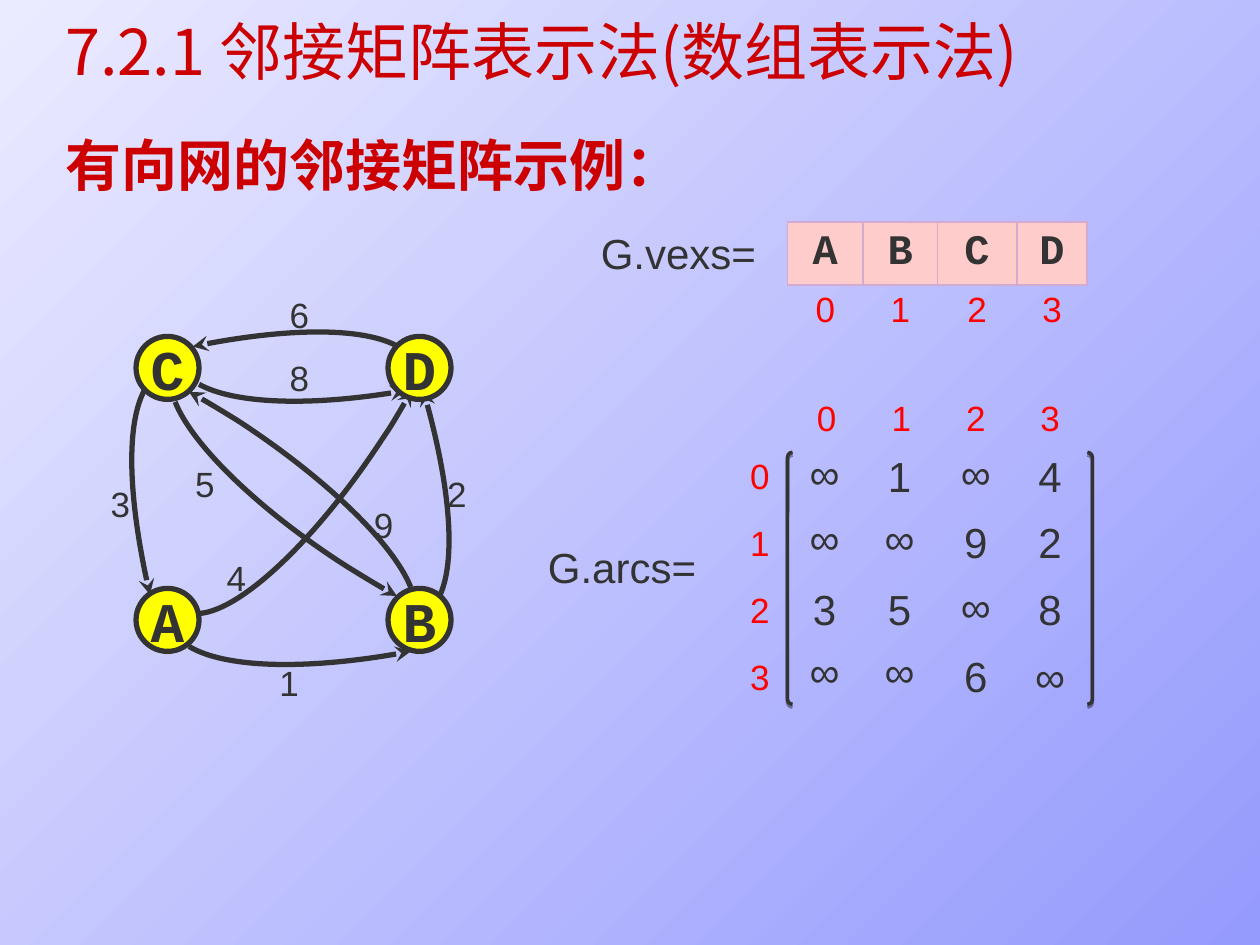
import pptx
import pptx.util
import pptx.dml.color
import pptx.enum.shapes
import pptx.enum.text
import pptx.oxml
import pptx.oxml.ns
import lxml.etree

Inches, Pt = pptx.util.Inches, pptx.util.Pt
ALIGN = pptx.enum.text.PP_ALIGN
ANCHOR = pptx.enum.text.MSO_ANCHOR
FIT = pptx.enum.text.MSO_AUTO_SIZE
SHAPE = pptx.enum.shapes.MSO_SHAPE
qn = pptx.oxml.ns.qn
NS = pptx.oxml.ns.nsdecls("a")

COLORS = {"text": "333333", "title": "CC0000", "index": "FF0000", "cell": "FFCCCC",
          "grid": "D2AAD2", "node": "FFFF00", "light": "EBEBFF", "deep": "959AFD"}
CJK = "Noto Sans CJK JP"
FORMATS = {
    "title": {"size": Pt(36), "name": CJK, "color": "title", "bold": False},
    "heading": {"size": Pt(32), "name": "Arial", "color": "title", "bold": True},
    "body": {"size": Pt(24), "name": "Arial", "color": "text", "bold": False},
    "weight": {"size": Pt(20), "name": "Arial", "color": "text", "bold": False},
    "index": {"size": Pt(20), "name": "Arial", "color": "index", "bold": False},
    "vertex": {"size": Pt(24), "name": "Courier New", "color": "text", "bold": True},
    "node": {"size": Pt(32), "name": "Courier New", "color": "text", "bold": True},
}


def rgb(key):
    return pptx.dml.color.RGBColor.from_string(COLORS[key])


class Deck:
    def __init__(self):
        self.prs = pptx.Presentation()
        self.prs.slide_width, self.prs.slide_height = Inches(10), Inches(7.5)
        self.s = self.prs.slides.add_slide(self.prs.slide_layouts[5])
        fill = self.s.background.fill
        fill.gradient()
        fill.gradient_angle = 315
        for stop, key in zip(fill.gradient_stops, ("light", "deep")):
            stop.color.rgb = rgb(key)

    def add_run(self, tf, text, style, align=ALIGN.LEFT, before=0):
        p = tf.paragraphs[0]
        p.alignment, p.space_before = align, Pt(before)
        r = p.add_run()
        r.text = text
        for name, value in FORMATS[style].items():
            if name == "color":
                r.font.color.rgb = rgb(value)
            else:
                setattr(r.font, name, value)
        if style in ("title", "heading"):
            lxml.etree.SubElement(r.font._element, qn("a:ea")).set("typeface", CJK)

    def title(self, text, x, y, w, h):
        sp = self.s.shapes.title
        sp.left, sp.top, sp.width, sp.height = map(Inches, (x, y, w, h))
        tf = sp.text_frame
        tf.auto_size, tf.vertical_anchor = FIT.NONE, ANCHOR.BOTTOM
        self.add_run(tf, text, "title")

    def text(self, text, style, x, y, w, h, before, align=ALIGN.LEFT, inset=True):
        tf = self.s.shapes.add_textbox(*map(Inches, (x, y, w, h))).text_frame
        tf.word_wrap, tf.auto_size = True, FIT.SHAPE_TO_FIT_TEXT
        if not inset:
            for side in ("left", "top", "right", "bottom"):
                setattr(tf, "margin_" + side, 0)
        self.add_run(tf, text, style, align, before)

    def outline(self, sp, width):
        sp.shadow.inherit = False
        sp.line.color.rgb, sp.line.width = rgb("text"), Pt(width)

    def node(self, text, x, y):
        sp = self.s.shapes.add_shape(SHAPE.OVAL, *map(Inches, (x, y, 0.5, 0.5)))
        sp.fill.solid()
        sp.fill.fore_color.rgb = rgb("node")
        self.outline(sp, 3)
        tf = sp.text_frame
        tf.word_wrap, tf.vertical_anchor = False, ANCHOR.MIDDLE
        self.add_run(tf, text, "node", ALIGN.CENTER)

    def curve(self, points):
        pts = [(Inches(x), Inches(y)) for x, y in points]
        fb = self.s.shapes.build_freeform(*pts[0])
        fb.add_line_segments(pts[1:], close=False)
        sp = fb.convert_to_shape()
        sp.fill.background()
        self.outline(sp, 3)
        outline = sp._element.find(".//" + qn("a:path"))
        steps = outline.findall(qn("a:lnTo"))
        for i in range(0, len(steps), 3):
            bezier = lxml.etree.SubElement(outline, qn("a:cubicBezTo"))
            for step in steps[i:i + 3]:
                bezier.append(step[0])
                outline.remove(step)
        ln = sp._element.spPr.find(qn("a:ln"))
        lxml.etree.SubElement(ln, qn("a:headEnd")).set("type", "stealth")

    def brackets(self, x, y, w, h):
        sp = self.s.shapes.add_shape(SHAPE.DOUBLE_BRACKET, *map(Inches, (x, y, w, h)))
        sp.adjustments[0] = 0.02
        sp.fill.background()
        self.outline(sp, 2)
        sp._element.spPr.find(qn("a:effectLst")).append(pptx.oxml.parse_xml(
            f'<a:outerShdw {NS} dist="{Pt(1.6)}" dir="5400000" rotWithShape="0">'
            '<a:srgbClr val="000000"><a:alpha val="38000"/></a:srgbClr></a:outerShdw>'))

    def table(self, x, y, cols, rows):
        size = (x, y, sum(cols), sum(rows))
        gf = self.s.shapes.add_table(len(rows), len(cols), *map(Inches, size))
        tbl = gf.table
        tbl.first_row = tbl.horz_banding = False
        tbl._tbl.tblPr.find(qn("a:tableStyleId")).text = "{2D5ABB26-0587-4C30-8999-92F81FD0307C}"
        for col, w in zip(tbl.columns, cols):
            col.width = Inches(w)
        for row, h in zip(tbl.rows, rows):
            row.height = Inches(h)
        for cell in tbl.iter_cells():
            cell.fill.background()
        return tbl

    def cell(self, cell, text, style, anchor, before):
        cell.vertical_anchor = anchor
        self.add_run(cell.text_frame, text, style, ALIGN.CENTER, before)

    def border(self, cell):
        tcPr = cell._tc.get_or_add_tcPr()
        for i, side in enumerate("LRTB"):
            tcPr.insert(i, pptx.oxml.parse_xml(
                f'<a:ln{side} {NS} w="{Pt(1.08)}"><a:solidFill>'
                f'<a:srgbClr val="{COLORS["grid"]}"/></a:solidFill></a:ln{side}>'))


def main():
    d = Deck()
    d.title("7.2.1 邻接矩阵表示法(数组表示法)", 0.42, 0.14, 8.76, 0.61)

    vexs = d.table(6.25, 1.76, [0.6, 0.59, 0.63, 0.56], [0.5, 0.44])
    for i, vertex in enumerate("ABCD"):
        top = vexs.cell(0, i)
        d.cell(top, vertex, "vertex", ANCHOR.MIDDLE, 6)
        d.border(top)
        top.fill.solid()
        top.fill.fore_color.rgb = rgb("cell")
        d.cell(vexs.cell(1, i), str(i), "index", ANCHOR.TOP, 5)

    arcs = d.table(5.75, 3.01, [0.51, 0.57, 0.03, 0.59, 0.59, 0.59],
                   [0.52, 0.52, 0.54, 0.52, 0.55])
    arcs.cell(0, 1).merge(arcs.cell(0, 2))
    for i, c in enumerate((1, 3, 4, 5)):
        d.cell(arcs.cell(0, c), str(i), "index", ANCHOR.BOTTOM, 5)
    for r, weights in enumerate(("∞1∞4", "∞∞92", "35∞8", "∞∞6∞"), 1):
        arcs.cell(r, 2).merge(arcs.cell(r, 3))
        index = arcs.cell(r, 0)
        index.margin_right = Inches(0.05)
        d.cell(index, str(r - 1), "index", ANCHOR.MIDDLE, 5)
        for c, weight in zip((1, 2, 4, 5), weights):
            raised = weight == "∞" and (r, c) != (4, 5)
            d.cell(arcs.cell(r, c), weight, "body", ANCHOR.TOP if raised else ANCHOR.MIDDLE, 6)

    d.text("G.arcs=", "body", 4.25, 4.25, 1.58, 0.5, 15)
    d.brackets(6.25, 3.59, 2.42, 2)
    d.text("G.vexs=", "body", 4.67, 1.76, 1.5, 0.5, 15)
    d.text("有向网的邻接矩阵示例：", "heading", 0.42, 0.99, 5.5, 0.64, 20)

    edges = [
        ("8", 2.25, 2.83, [(3.22, 3.1), (2.48, 3.23), (1.85, 3.2), (1.58, 3.05)]),
        ("6", 2.25, 2.33, [(1.53, 2.75), (2.26, 2.6), (2.89, 2.6), (3.16, 2.75)]),
        ("9", 2.92, 4, [(1.5, 3.11), (1.63, 3.18), (1.76, 3.26), (1.89, 3.34),
                        (2.58, 3.79), (3.12, 4.31), (3.26, 4.66)]),
        ("5", 1.5, 3.67, [(3.15, 4.73), (3.02, 4.66), (2.89, 4.58), (2.76, 4.5),
                          (2.07, 4.06), (1.53, 3.54), (1.39, 3.19)]),
        ("3", 0.83, 3.83, [(1.19, 4.72), (1.02, 3.99), (1, 3.36), (1.15, 3.09)]),
        ("1", 2.17, 5.25, [(3.26, 5.17), (2.47, 5.32), (1.78, 5.3), (1.5, 5.13)]),
        ("2", 3.5, 3.75, [(3.36, 3.1), (3.57, 3.82), (3.62, 4.45), (3.49, 4.73)]),
        ("4", 1.75, 4.42, [(3.27, 3.1), (3.19, 3.23), (3.12, 3.36), (3.03, 3.49),
                           (2.5, 4.3), (1.88, 4.88), (1.55, 4.87)]),
    ]
    for weight, x, y, points in edges:
        d.curve(points)
        d.text(weight, "weight", x, y, 0.25, 0.33, 12.5, ALIGN.CENTER, inset=False)
    for i, vertex in enumerate("CDAB"):
        d.node(vertex, 1.08 + 2 * (i % 2), 2.67 + 2 * (i // 2))

    d.prs.save("out.pptx")


if __name__ == "__main__":
    main()
